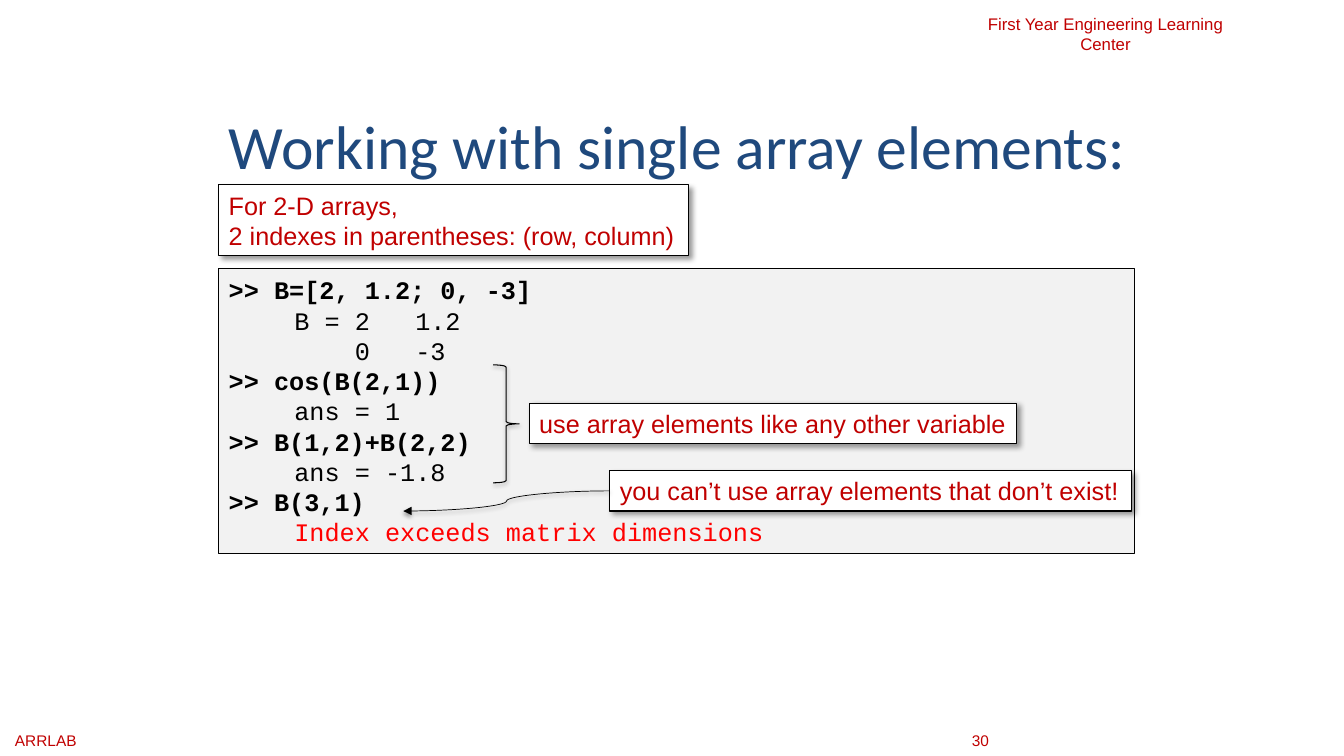
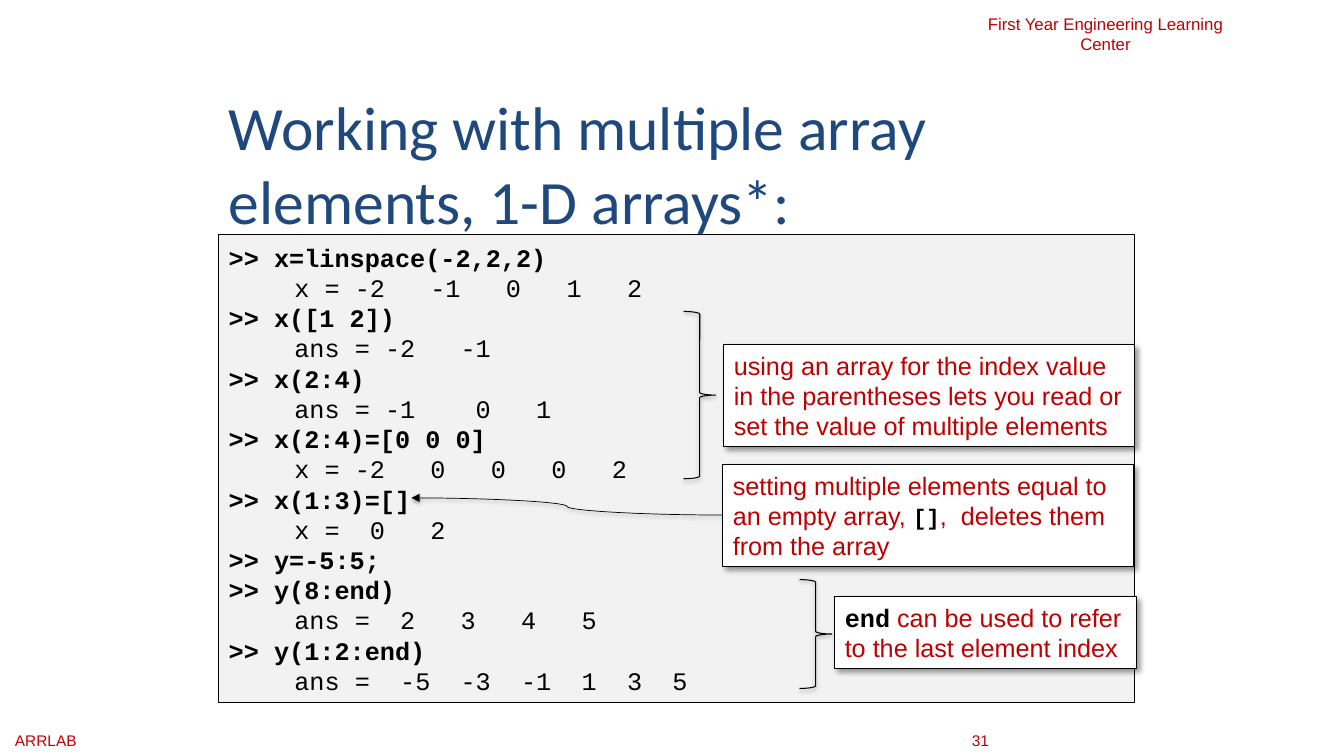
from lxml.etree import SubElement
from pptx import Presentation
from pptx.dml.color import RGBColor
from pptx.enum.shapes import MSO_CONNECTOR as Link, MSO_SHAPE as Preset
from pptx.enum.text import MSO_ANCHOR as Anchor, MSO_AUTO_SIZE as AutoSize, PP_ALIGN as Align
from pptx.oxml.ns import qn
from pptx.util import Emu, Inches, Pt

BLACK = RGBColor(0x00, 0x00, 0x00)
WHITE = RGBColor(0xFF, 0xFF, 0xFF)
PANEL_GRAY = RGBColor(0xF2, 0xF2, 0xF2)
CRIMSON = RGBColor(0xC0, 0x00, 0x00)
ERROR_RED = RGBColor(0xFF, 0x00, 0x00)
TITLE_BLUE = RGBColor(0x1F, 0x49, 0x7D)

SANS, MONO, HEADING = "Arial", "Courier New", "Calibri"
LINE_PITCH = Pt(21.6)
OUTPUT_INDENT = Inches(0.65)
CHARACTER_WIDTH = Inches(0.15)
PANEL_LEFT, PANEL_WIDTH = 2.17, 9.08

# blur (pt), distance (pt), direction (degrees), opacity (%)
CALLOUT_SHADOW = (4, 3, 45, 40)
LINE_SHADOW = (3.1, 1.6, 90, 38)


def set_shadow(shape, shadow=None):
    """Replace the theme's shadow; call after the outline has been set."""
    effects = SubElement(shape.element.spPr, qn("a:effectLst"))
    if shadow:
        blur, distance, direction, opacity = shadow
        outer = SubElement(effects, qn("a:outerShdw"), blurRad=str(Pt(blur)),
                           dist=str(Pt(distance)), dir=str(direction * 60000),
                           algn="tl", rotWithShape="0")
        color = SubElement(outer, qn("a:srgbClr"), val=str(BLACK))
        SubElement(color, qn("a:alpha"), val=str(opacity * 1000))


def set_font(run, name, size, color, bold=False):
    font = run.font
    font.name, font.size, font.bold = name, Pt(size), bold
    font.color.rgb = color


class Lesson:
    """The deck's style together with the slide being filled."""

    def __init__(self, first_number):
        self.deck = Presentation()
        self.deck.slide_width, self.deck.slide_height = Inches(13.33), Inches(7.5)
        self.number = first_number
        self.shapes = None

    def start_slide(self, title, top, width):
        title_only = self.deck.slide_layouts[5]
        self.shapes = self.deck.slides.add_slide(title_only).shapes
        self.label("ARRLAB", 0.05, 7.2, 2, 11)
        self.label(str(self.number), 9.54, 7.2, 1, 11)
        self.label("First Year Engineering Learning Center", 9.56, 0.09, 2.81, 12, Align.CENTER)
        self.number += 1

        heading = self.shapes.title
        heading.left, heading.top = Inches(PANEL_LEFT), Inches(top)
        heading.width, heading.height = Inches(width), Inches(0.9)
        frame = heading.text_frame
        frame.text = title
        frame.auto_size, frame.vertical_anchor = AutoSize.NONE, Anchor.TOP
        frame.paragraphs[0].alignment = Align.LEFT
        set_font(frame.paragraphs[0].runs[0], HEADING, 44, TITLE_BLUE)

    def label(self, text, left, top, width, size, align=Align.LEFT):
        box = self.shapes.add_textbox(Inches(left), Inches(top), Inches(width), Inches(0.29))
        frame = box.text_frame
        frame.word_wrap = True
        frame.text = text
        frame.paragraphs[0].alignment = align
        set_font(frame.paragraphs[0].runs[0], SANS, size, CRIMSON)

    def preset(self, kind, left, top, width, height, fill=None, shadow=None):
        shape = self.shapes.add_shape(kind, Inches(left), Inches(top), Inches(width), Inches(height))
        if fill is None:
            shape.fill.background()
        else:
            shape.fill.solid()
            shape.fill.fore_color.rgb = fill
        shape.line.color.rgb, shape.line.width = BLACK, Pt(0.75)
        set_shadow(shape, shadow)
        return shape

    def text_panel(self, text, *box, fill, shadow=None):
        """Draw a bordered box and return its paragraphs, one per line of text."""
        frame = self.preset(Preset.RECTANGLE, *box, fill=fill, shadow=shadow).text_frame
        frame.word_wrap, frame.vertical_anchor = True, Anchor.MIDDLE
        frame.text = text
        for paragraph in frame.paragraphs:
            paragraph.alignment, paragraph.line_spacing = Align.LEFT, LINE_PITCH
        return frame.paragraphs

    def session(self, top, height, lines, error=None):
        """Show a console session: bold commands and indented results."""
        text = "\n".join(line.lstrip() for line in lines)
        paragraphs = self.text_panel(text, PANEL_LEFT, top, PANEL_WIDTH, height, fill=PANEL_GRAY)
        for line, paragraph in zip(lines, paragraphs):
            is_command = line.startswith(">>")
            color = ERROR_RED if line == error else BLACK
            set_font(paragraph.runs[0], MONO, 18, color, is_command)
            if not is_command:
                leading = len(line) - len(line.lstrip())
                indent = Emu(OUTPUT_INDENT + leading * CHARACTER_WIDTH)
                properties = paragraph._p.get_or_add_pPr()
                properties.set("marL", str(indent))
                properties.set("indent", "0")

    def callout(self, text, *box, code_size=18):
        """Draw a shadowed note; text between backticks is set as code."""
        paragraphs = self.text_panel(text, *box, fill=WHITE, shadow=CALLOUT_SHADOW)
        for paragraph in paragraphs:
            parts = paragraph.text.split("`")
            paragraph.text = ""
            for index, part in enumerate(parts):
                if not part:
                    continue
                run = paragraph.add_run()
                run.text = part
                if index % 2:
                    set_font(run, MONO, code_size, BLACK, bold=True)
                else:
                    set_font(run, SANS, 18, CRIMSON)

    def brace(self, left, top, width, height):
        self.preset(Preset.RIGHT_BRACE, left, top, width, height, shadow=LINE_SHADOW)

    def curved_arrow(self, *ends):
        arrow = self.shapes.add_connector(Link.CURVE, *map(Inches, ends))
        arrow.line.color.rgb, arrow.line.width = BLACK, Pt(0.5)
        SubElement(arrow.element.spPr.find(qn("a:ln")), qn("a:tailEnd"), type="triangle")
        set_shadow(arrow, LINE_SHADOW)


def single_elements(lesson):
    lesson.start_slide("Working with single array elements:", 1.02, 9.25)
    error = "Index exceeds matrix dimensions"
    lesson.session(2.66, 2.83, [
        ">> B=[2, 1.2; 0, -3]",
        "B = 2   1.2",
        "    0   -3",
        ">> cos(B(2,1))",
        "ans = 1",
        ">> B(1,2)+B(2,2)",
        "ans = -1.8",
        ">> B(3,1)",
        error,
    ], error)
    lesson.callout("For 2-D arrays,\n2 indexes in parentheses: (row, column)",
                   PANEL_LEFT, 1.83, 4.66, 0.71)
    lesson.callout("use array elements like any other variable", 5.25, 4, 4.83, 0.4)
    lesson.brace(4.89, 3.62, 0.26, 1.17)
    lesson.callout("you can’t use array elements that don’t exist!", 6.05, 4.67, 5.17, 0.4)
    lesson.curved_arrow(6.05, 4.87, 4, 5.07)


def multiple_elements(lesson):
    lesson.start_slide("Working with multiple array elements, 1-D arrays*:", 0.83, 9)
    lesson.session(2.33, 4.64, [
        ">> x=linspace(-2,2,2)",
        "x = -2   -1   0   1   2",
        ">> x([1 2])",
        "ans = -2   -1",
        ">> x(2:4)",
        "ans = -1    0   1",
        ">> x(2:4)=[0 0 0]",
        "x = -2   0   0   0   2",
        ">> x(1:3)=[]",
        "x =  0   2",
        ">> y=-5:5;",
        ">> y(8:end)",
        "ans =  2   3   4   5",
        ">> y(1:2:end)",
        "ans =  -5  -3  -1  1  3  5",
    ])
    lesson.callout("setting multiple elements equal to an empty array, `[]`,  deletes them from the array",
                   7.17, 4.61, 4.07, 1.01, code_size=16)
    lesson.callout("using an array for the index value in the parentheses lets you read or "
                   "set the value of multiple elements", 7.18, 3.42, 4.07, 1.01)
    lesson.brace(6.78, 3.09, 0.32, 1.66)
    lesson.curved_arrow(7.17, 5.11, 4.08, 4.94)
    lesson.callout("`end` can be used to refer to the last element index", 8.28, 5.92, 2.99, 0.71)
    lesson.brace(7.93, 5.75, 0.32, 1.08)


def main():
    lesson = Lesson(first_number=30)
    single_elements(lesson)
    multiple_elements(lesson)
    lesson.deck.save("out.pptx")


if __name__ == "__main__":
    main()
